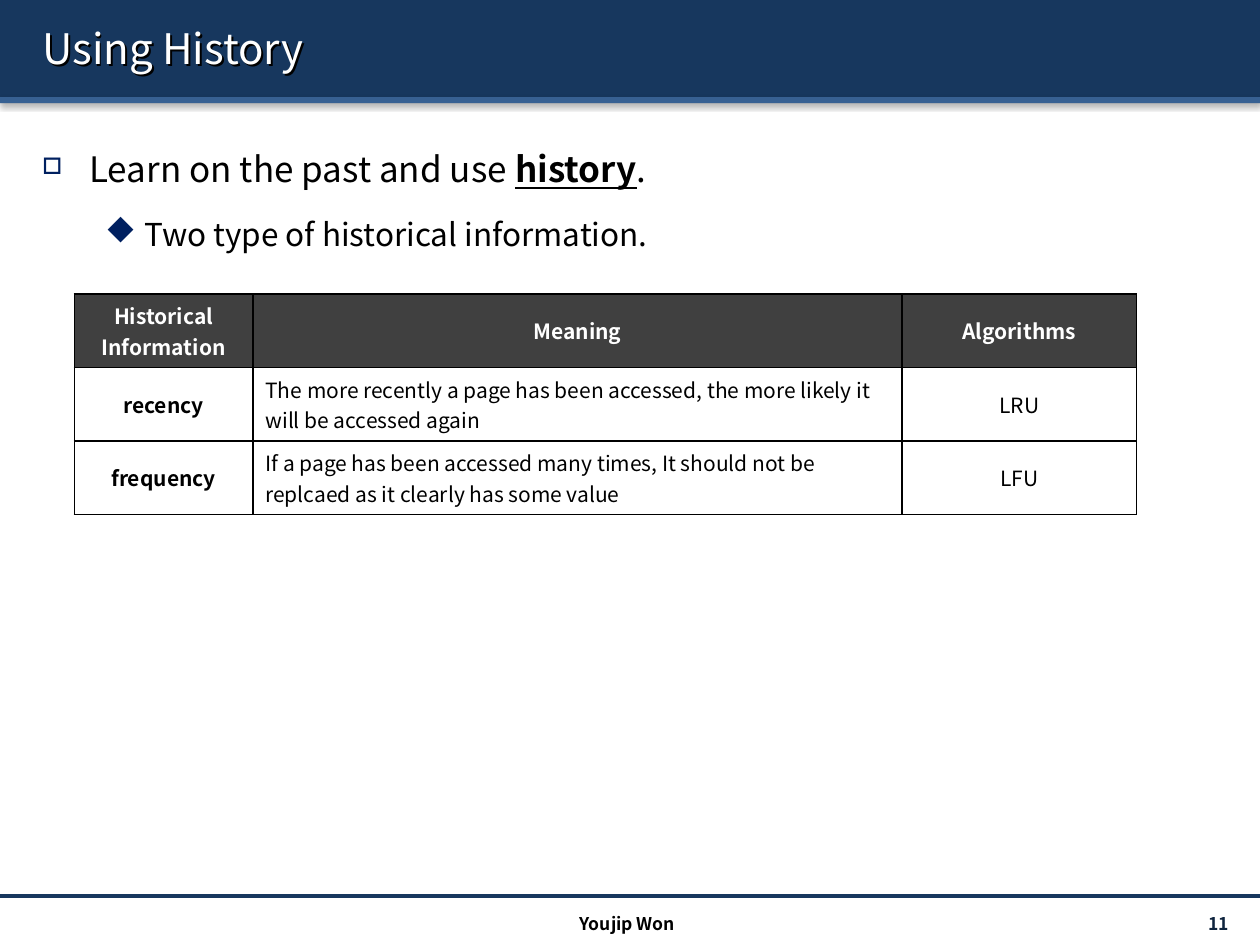
"""Build the "Using History" slide with its table of historical information."""
from lxml import etree
from pptx import Presentation
from pptx.dml.color import RGBColor
from pptx.enum.shapes import MSO_CONNECTOR as CONN, MSO_SHAPE as SHAPE
from pptx.enum.text import MSO_ANCHOR as ANCHOR, PP_ALIGN as ALIGN
from pptx.oxml.ns import qn
from pptx.util import Pt

FONT = "Noto Sans CJK KR"


def add_xml(parent, tag, fill=None, **attrs):
    """Append a DrawingML element, with a solid fill if one is given."""
    el = etree.SubElement(parent, qn(tag), {k: str(v) for k, v in attrs.items()})
    if fill:
        add_xml(add_xml(el, "a:solidFill"), "a:srgbClr", val=fill)
    return el


def style(font, size, color, bold=False):
    """Set the typeface, size, colour and weight of a font."""
    font.name, font.size, font.bold = FONT, Pt(size), bold
    font.color.rgb = RGBColor.from_string(color)


prs = Presentation()
prs.slide_width, prs.slide_height = Pt(720), Pt(540)
s = prs.slides.add_slide(prs.slide_layouts[5])

title = s.shapes.title
title.left, title.top, title.width, title.height = Pt(17), Pt(4.5), Pt(692), Pt(46)
title.fill.background()
tf = title.text_frame
tf.vertical_anchor = ANCHOR.MIDDLE
p = tf.paragraphs[0]
p.text, p.alignment = "Using History", ALIGN.LEFT
style(p.font, 24, "FFFFFF")

shadows = [(title, 0, 1.5, 45, 100)]
for top, height, color in [(0, 55.5, "17375E"), (55.5, 3.5, "376092")]:
    sp = s.shapes.add_shape(SHAPE.RECTANGLE, 0, Pt(top), Pt(720), Pt(height))
    sp.fill.solid()
    sp.fill.fore_color.rgb = RGBColor.from_string(color)
    sp.line.fill.background()
    sp.shadow.inherit = False
    title.element.addprevious(sp.element)
    shadows.append((sp, 3.1, 1.6, 90, 38))

for sp, blur, dist, angle, alpha in shadows:
    sp.shadow.inherit = False
    effects = sp.element.spPr.find(qn("a:effectLst"))
    shadow = add_xml(effects, "a:outerShdw", blurRad=Pt(blur), dist=Pt(dist),
                     dir=angle * 60000, rotWithShape=0)
    add_xml(add_xml(shadow, "a:srgbClr", val="000000"), "a:alpha", val=alpha * 1000)

rule = s.shapes.add_connector(CONN.STRAIGHT, 0, Pt(512), Pt(720), Pt(512))
rule.line.color.rgb = RGBColor.from_string("17375E")
rule.line.width = Pt(2)
add_xml(rule.element.spPr, "a:effectLst")

tf = s.shapes.add_textbox(Pt(17), Pt(69), Pt(692), Pt(433)).text_frame
tf.word_wrap = True
bullets = [
    (20, 27, 27, "o", 65, ["Learn on the past and use ", "history", "."]),
    (18, 58.5, 22.5, "u", 100, ["Two type of historical information."]),
]
for level, (size, margin, hang, char, percent, texts) in enumerate(bullets):
    p = tf.add_paragraph() if level else tf.paragraphs[0]
    p.level, p.line_spacing = level, 1.5
    if level:
        p.space_before = Pt(3.6)
    pPr = p._p.get_or_add_pPr()
    pPr.set("marL", str(Pt(margin)))
    pPr.set("indent", str(-Pt(hang)))
    add_xml(add_xml(pPr, "a:buClr"), "a:srgbClr", val="002060")
    add_xml(pPr, "a:buSzPct", val=percent * 1000)
    add_xml(pPr, "a:buFont", typeface="Wingdings", pitchFamily=2, charset=2)
    add_xml(pPr, "a:buChar", char=char)
    style(p.font, size, "000000")
    for text in texts:
        r = p.add_run()
        r.text = text
        if text == "history":
            r.font.bold = r.font.underline = True

footers = [
    (627, 84.5, "11 ", ALIGN.RIGHT, "0F243E"),
    (239, 239, "Youjip Won", ALIGN.CENTER, "000000"),
]
for left, width, text, align, color in footers:
    tf = s.shapes.add_textbox(Pt(left), Pt(519), Pt(width), Pt(17.5)).text_frame
    tf.word_wrap = True
    tf.vertical_anchor = ANCHOR.MIDDLE
    p = tf.paragraphs[0]
    p.text, p.alignment = text, align
    style(p.font, 10, color, True)

rows = [
    ("Historical Information", "Meaning", "Algorithms"),
    ("recency", "The more recently a page has been accessed, "
     "the more likely it will be accessed again", "LRU"),
    ("frequency", "If a page has been accessed many times, "
     "It should not be replcaed as it clearly has some value", "LFU"),
]
widths = [102, 371, 134]
table = s.shapes.add_table(3, 3, Pt(42.5), Pt(168), Pt(sum(widths)), Pt(126)).table
for column, width in zip(table.columns, widths):
    column.width = Pt(width)
for i, row in enumerate(rows):
    table.rows[i].height = Pt(42)
    for j, text in enumerate(row):
        cell = table.cell(i, j)
        for side in "LRTB":
            add_xml(cell._tc.get_or_add_tcPr(), f"a:ln{side}", "000000", w=Pt(1))
        cell.fill.solid()
        cell.fill.fore_color.rgb = RGBColor.from_string("FFFFFF" if i else "404040")
        cell.vertical_anchor = ANCHOR.MIDDLE
        p = cell.text_frame.paragraphs[0]
        p.text = text
        p.alignment = ALIGN.LEFT if i and j == 1 else ALIGN.CENTER
        style(p.font, 12, "000000" if i else "FFFFFF", i == 0 or j == 0)

prs.save("out.pptx")
